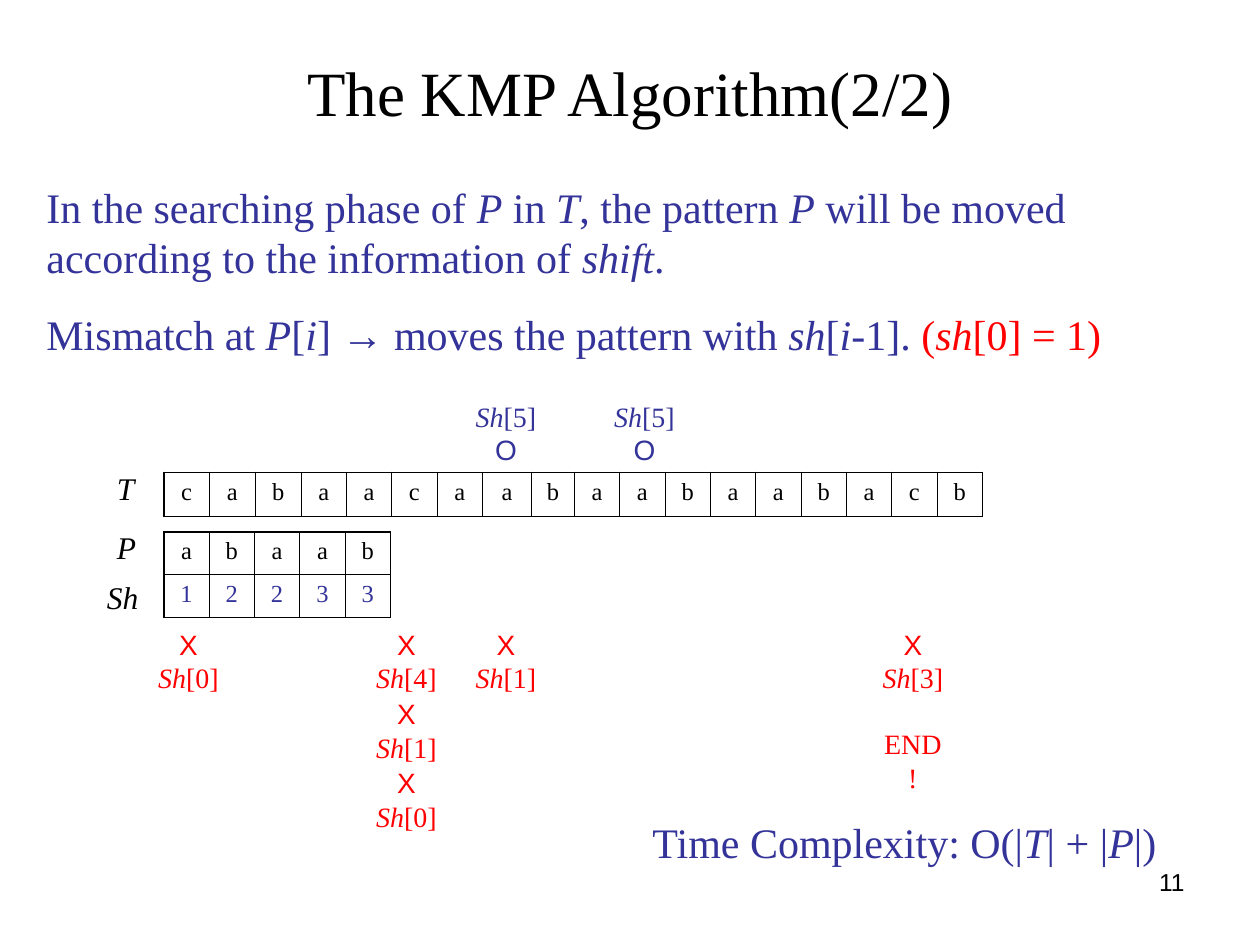
from dataclasses import dataclass

from lxml import etree
from pptx import Presentation
from pptx.dml.color import RGBColor
from pptx.enum.text import MSO_ANCHOR, MSO_AUTO_SIZE, PP_ALIGN
from pptx.oxml.ns import qn
from pptx.util import Inches, Pt

LEFT, MID, RIGHT = PP_ALIGN.LEFT, PP_ALIGN.CENTER, PP_ALIGN.RIGHT
CENTER = MSO_ANCHOR.MIDDLE
GROW = MSO_AUTO_SIZE.SHAPE_TO_FIT_TEXT


@dataclass(frozen=True)
class Theme:
    black: str = "000000"
    blue: str = "333399"
    red: str = "FF0000"
    serif: str = "Times New Roman"
    sans: str = "Arial"
    title: int = 36
    body: int = 24
    label: int = 18
    mark: int = 16
    cell: int = 14
    thick: float = 1.08
    thin: float = 0.45


THEME = Theme()


def style(par, size, color, align=LEFT, face=THEME.serif):
    par.alignment = align
    par.font.size = Pt(size)
    par.font.name = face
    par.font.color.rgb = RGBColor.from_string(color)


def add_runs(par, text):
    for red, part in enumerate(text.split("^")):
        for sans, piece in enumerate(part.split("~")):
            for slant, word in enumerate(piece.split("_")):
                if not word:
                    continue
                run = par.add_run()
                run.text = word
                if slant % 2:
                    run.font.italic = True
                if sans % 2:
                    run.font.name = THEME.sans
                if red % 2:
                    run.font.color.rgb = RGBColor.from_string(THEME.red)


def add_text(slide, box, lines, size, color, align=LEFT, gap=0):
    frame = slide.shapes.add_textbox(*map(Inches, box)).text_frame
    frame.word_wrap = True
    frame.auto_size = GROW
    for row, line in enumerate(lines):
        par = frame.add_paragraph() if row else frame.paragraphs[0]
        style(par, size, color, align)
        if row:
            par.space_before = Pt(gap)
        add_runs(par, line)


def add_edge(cell, side, width):
    line = etree.SubElement(cell._tc.get_or_add_tcPr(), qn("a:" + side))
    line.set("w", str(Pt(width)))
    fill = etree.SubElement(line, qn("a:solidFill"))
    etree.SubElement(fill, qn("a:srgbClr")).set("val", THEME.black)


def add_grid(slide, left, top, widths, high, rows, colors):
    size = map(Inches, (left, top, sum(widths), high * len(rows)))
    table = slide.shapes.add_table(len(rows), len(widths), *size).table
    table.first_row = table.horz_banding = False
    for col, wide in zip(table.columns, widths):
        col.width = Inches(wide)
    for y, (row, color) in enumerate(zip(rows, colors)):
        table.rows[y].height = Inches(high)
        for x, char in enumerate(row):
            cell = table.cell(y, x)
            cell.text = char
            style(cell.text_frame.paragraphs[0], THEME.cell, color, MID)
            outer = {"lnL": x == 0, "lnR": x == len(row) - 1,
                     "lnT": y == 0, "lnB": y == len(rows) - 1}
            for side, edge in outer.items():
                add_edge(cell, side, THEME.thick if edge else THEME.thin)
            cell.fill.background()


def add_title(slide, text):
    title = slide.shapes.title
    title.left, title.top = Inches(0.5), Inches(0.3)
    title.width, title.height = Inches(9), Inches(0.85)
    title.text_frame.vertical_anchor = CENTER
    title.text_frame.text = text
    style(title.text_frame.paragraphs[0], THEME.title, THEME.black, MID)


def add_mark(slide, left, top, text, color=THEME.red):
    add_text(slide, (left, top, 0.71, 0.64), [text], THEME.mark, color, MID)


def add_number(slide, text):
    box = map(Inches, (7.17, 6.83, 2.33, 0.52))
    frame = slide.shapes.add_textbox(*box).text_frame
    frame.word_wrap = True
    frame.text = text
    style(frame.paragraphs[0], THEME.cell, THEME.black, RIGHT, THEME.sans)


def main():
    deck = Presentation()
    deck.slide_width, deck.slide_height = Inches(10), Inches(7.5)
    slide = deck.slides.add_slide(deck.slide_layouts[5])
    add_title(slide, "The KMP Algorithm(2/2)")

    add_text(slide, (0.27, 1.39, 9.45, 1.51), [
        "In the searching phase of _P_ in _T_, the pattern _P_ will be moved "
        "according to the information of _shift_.",
        "Mismatch at _P_[_i_] ~→~ moves the pattern with _sh_[_i-_1]. "
        "^(_sh_[0] = 1)",
    ], THEME.body, THEME.blue, gap=15)

    pitch = 0.36
    widths = [pitch] * 18
    widths[1], widths[7], widths[8] = 0.37, 0.39, 0.34
    add_grid(slide, 1.3, 3.75, widths, 0.35, ["cabaacaabaabaabacb"],
             [THEME.black])
    add_grid(slide, 1.3, 4.22, [pitch] * 5, 0.34, ["abaab", "12233"],
             [THEME.black, THEME.blue])

    for left, top, wide, name in ((0.83, 3.67, 0.39, "T"),
                                  (0.83, 4.14, 0.39, "P"),
                                  (0.75, 4.54, 0.47, "Sh")):
        add_text(slide, (left, top, wide, 0.4), [f"_{name}_"],
                 THEME.label, THEME.black)

    misses = {1.14: [0], 2.87: [4, 1, 0], 3.66: [1], 6.89: [3]}
    for left, steps in misses.items():
        for row, step in enumerate(steps):
            add_mark(slide, left, 4.93 + 0.55 * row, f"~X ~_Sh_[{step}]")
    add_mark(slide, 3.66, 3.12, "_Sh_[5] ~O~", THEME.blue)
    add_mark(slide, 4.76, 3.12, "_Sh_[5]~O~", THEME.blue)
    add_mark(slide, 6.89, 5.72, "END!")

    add_text(slide, (5.08, 6.43, 4.25, 0.5),
             ["Time Complexity: O(|_T_| + |_P_|)"], THEME.body, THEME.blue)
    add_number(slide, "11")
    deck.save("out.pptx")


if __name__ == "__main__":
    main()
